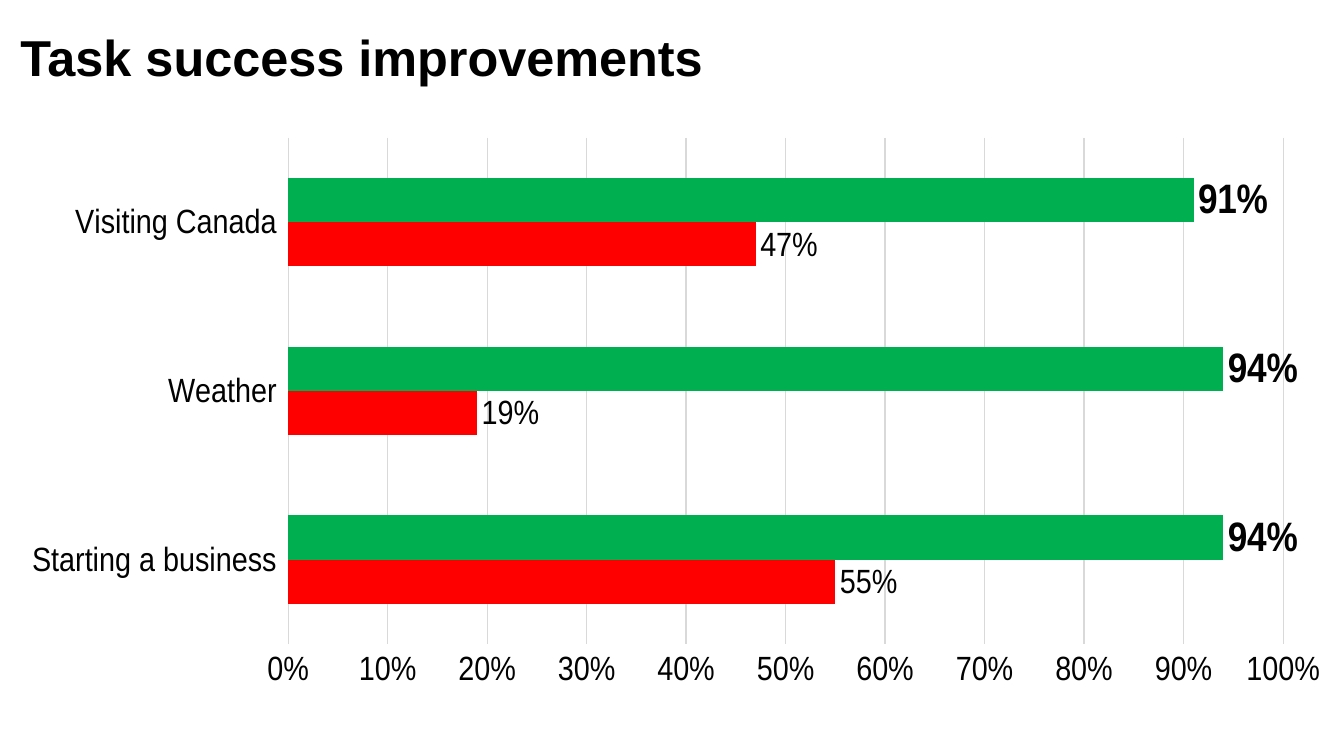
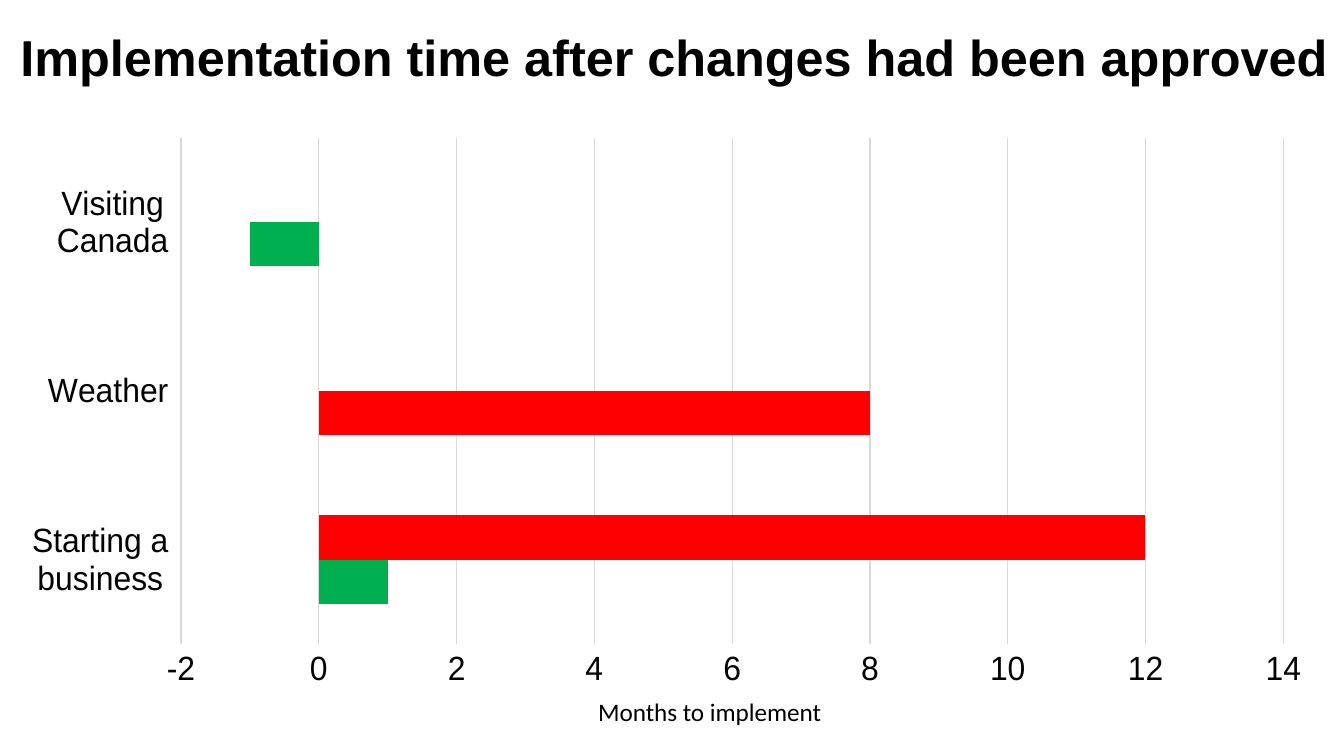
from lxml import etree
from pptx import Presentation
from pptx.chart.data import CategoryChartData
from pptx.dml.color import RGBColor
from pptx.enum.chart import (XL_CHART_TYPE as ChartType, XL_LABEL_POSITION as LabelPos,
                             XL_TICK_LABEL_POSITION as TickLabelPos, XL_TICK_MARK as TickMark)
from pptx.enum.text import MSO_ANCHOR, MSO_AUTO_SIZE, PP_ALIGN
from pptx.oxml.ns import qn
from pptx.util import Emu, Pt

PX_PER_INCH = 134.4
TITLE_ONLY = 5
BLACK, INK, GRID = "000000", "020202", "D9D9D9"
RED, GREEN, BLUE = "FF0000", "00B050", "5B9BD5"
TASKS = ["Starting a business", "Weather", "Visiting Canada"]
CHART_BOX = (32, 90, 1288, 620)
PLOT_AREA = {"x": 0.068, "y": 0.077, "w": 0.902, "h": 0.817}


def px(length):
    """Turn whole pixels into EMU."""
    return Emu(round(length * 914400 / PX_PER_INCH))


def color(hex_code):
    """Turn a hex string into a colour."""
    return RGBColor.from_string(hex_code)


def style_font(font, size, hex_code=INK, name="Arial", bold=False):
    """Set the typeface, size, colour and weight of a font."""
    font.name, font.size, font.bold = name, Pt(size), bold
    font.color.rgb = color(hex_code)


def fill_solid(part, hex_code):
    """Fill a series or a point with one colour."""
    part.format.fill.solid()
    part.format.fill.fore_color.rgb = color(hex_code)


def write_line(holder, box, text, size, name="Arial", bold=False):
    """Place a shape and write one unwrapped line in it."""
    holder.left, holder.top, holder.width, holder.height = map(px, box)
    frame = holder.text_frame
    frame.text = text
    frame.word_wrap = False
    frame.auto_size = MSO_AUTO_SIZE.SHAPE_TO_FIT_TEXT
    frame.vertical_anchor = MSO_ANCHOR.TOP
    line = frame.paragraphs[0]
    line.alignment = PP_ALIGN.LEFT
    style_font(line.runs[0].font, size, BLACK, name, bold)


def add_titled_slide(deck, title, title_width):
    """Add a slide with its bold headline."""
    slide = deck.slides.add_slide(deck.slide_layouts[TITLE_ONLY])
    write_line(slide.shapes.title, (7, 19, title_width, 75), title, 27, bold=True)
    return slide


def set_plot_area(chart):
    """Fix the inner plot area as fractions of the chart."""
    plot_area = chart.element.find(".//" + qn("c:plotArea"))
    for old_layout in plot_area.findall(qn("c:layout")):
        plot_area.remove(old_layout)
    layout = etree.Element(qn("c:layout"))
    manual = etree.SubElement(layout, qn("c:manualLayout"))
    settings = {"layoutTarget": "inner", "xMode": "edge", "yMode": "edge", **PLOT_AREA}
    for tag, value in settings.items():
        etree.SubElement(manual, qn("c:" + tag)).set("val", str(value))
    plot_area.insert(0, layout)


def style_axes(chart, low, high, step):
    """Style both axes and set the value scale."""
    tasks, values = chart.category_axis, chart.value_axis
    for axis in (tasks, values):
        axis.major_tick_mark = axis.minor_tick_mark = TickMark.NONE
        style_font(axis.tick_labels.font, 18)
    tasks.tick_label_position = TickLabelPos.LOW
    values.minimum_scale, values.maximum_scale, values.major_unit = low, high, step
    values.has_major_gridlines = True
    values.format.line.fill.background()
    for line in (tasks.format.line, values.major_gridlines.format.line):
        line.color.rgb = color(GRID)
        line.width = Pt(0.75)


def add_task_bars(slide, series, scale, number_format):
    """Add a bar chart of the tasks, with a (values, colour) pair per series."""
    data = CategoryChartData(number_format=number_format)
    data.categories = TASKS
    for number, (values, _) in enumerate(series, 1):
        data.add_series(f"Series {number}", values)
    frame = slide.shapes.add_chart(ChartType.BAR_CLUSTERED, *map(px, CHART_BOX), data)
    chart = frame.chart
    chart.has_title = chart.has_legend = False
    style_font(chart.font, 10, BLACK, "Calibri")
    set_plot_area(chart)
    style_axes(chart, *scale)
    chart.value_axis.tick_labels.number_format = number_format
    chart.value_axis.tick_labels.number_format_is_linked = False
    plot = chart.plots[0]
    plot.gap_width, plot.vary_by_categories = 182, False
    for bars, (_, hex_code) in zip(plot.series, series):
        bars.invert_if_negative = False
        fill_solid(bars, hex_code)
    return plot.series


def label_bars(bars, size, bold):
    """Show percentages at the ends of the bars."""
    labels = bars.data_labels
    labels.show_value = True
    labels.position = LabelPos.OUTSIDE_END
    labels.number_format, labels.number_format_is_linked = "0%", False
    style_font(labels.font, size, bold=bold)


def add_success_slide(deck):
    """Compare task success before and after the changes."""
    slide = add_titled_slide(deck, "Task success improvements", 716)
    series = [([0.55, 0.19, 0.47], RED), ([0.94, 0.94, 0.91], GREEN)]
    before, after = add_task_bars(slide, series, (0, 1, 0.1), "0%")
    label_bars(before, 18, False)
    label_bars(after, 22, True)


def add_time_slide(deck):
    """Show the months each task took to implement."""
    slide = add_titled_slide(deck, "Implementation time after changes had been approved", 1348)
    series = [([1, 8, -1], BLUE), ([12, None, None], RED)]
    months, _ = add_task_bars(slide, series, (-2, 14, 2), "General")
    for index, hex_code in enumerate([GREEN, RED, GREEN]):
        fill_solid(months.points[index], hex_code)
    caption_box = (585, 690, 253, 44)
    caption = slide.shapes.add_textbox(*map(px, caption_box))
    write_line(caption, caption_box, "Months to implement", 13.5, "Calibri")


def main():
    """Build the deck and save it."""
    deck = Presentation()
    deck.slide_width, deck.slide_height = px(1344), px(756)
    add_success_slide(deck)
    add_time_slide(deck)
    deck.save("out.pptx")


if __name__ == "__main__":
    main()
